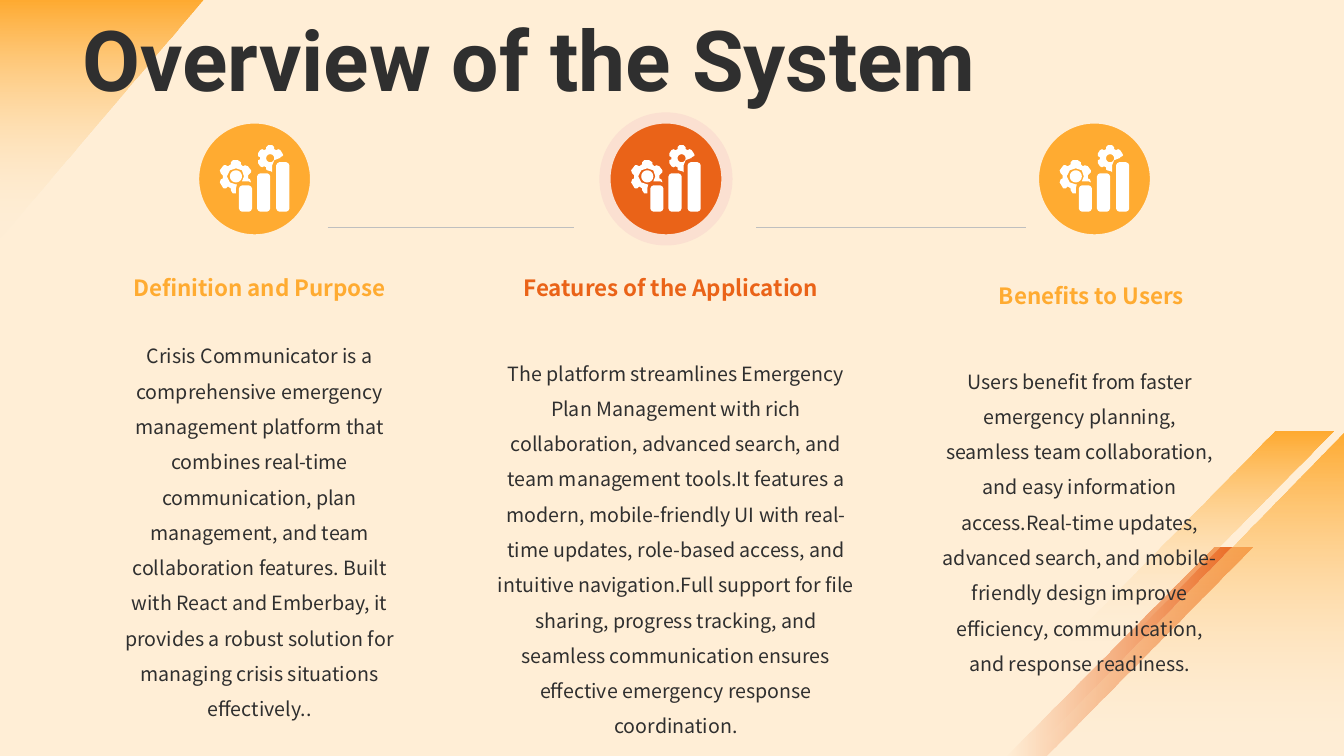
import math
from lxml import etree
from pptx import Presentation, util as u
from pptx.dml.color import RGBColor
from pptx.enum import shapes, text
from pptx.oxml.ns import qn

PX = 9144
COLORS = {
    "cream": "FFEED6", "amber": "FFAB31", "orange": "EA6318", "blush": "FBE0D1",
    "ink": "2F2F2F", "grey": "BFBFBF", "white": "FFFFFF",
}
COLORS = {name: RGBColor.from_string(value) for name, value in COLORS.items()}

presentation = Presentation()
presentation.slide_width = 1333 * PX
presentation.slide_height = 750 * PX
slide = presentation.slides.add_slide(presentation.slide_layouts[6])
slide.background.fill.solid()
slide.background.fill.fore_color.rgb = COLORS["cream"]


def add_outline(contours, left=0, top=0):
    contours = [[(round((left + x) * PX), round((top + y) * PX)) for x, y in contour]
                for contour in contours]
    builder = slide.shapes.build_freeform(*contours[0][0], scale=1.0)
    builder.add_line_segments(contours[0][1:], close=True)
    for contour in contours[1:]:
        builder.move_to(*contour[0])
        builder.add_line_segments(contour[1:], close=True)
    shape = builder.convert_to_shape()
    shape.shadow.inherit = False
    shape.line.fill.background()
    return shape


def add_text(box, words, size, color, font="Noto Sans CJK SC", bold=False,
             align=text.PP_ALIGN.CENTER, spacing=None):
    shape = slide.shapes.add_textbox(*[length * PX for length in box])
    frame = shape.text_frame
    frame.word_wrap = True
    paragraph = frame.paragraphs[0]
    paragraph.alignment = align
    paragraph.line_spacing = spacing
    run = paragraph.add_run()
    run.text = words
    run.font.size = u.Pt(size)
    run.font.name = font
    run.font.bold = bold
    run.font.color.rgb = COLORS[color]
    properties = run.font._element
    etree.SubElement(properties, qn("a:ea")).set("typeface", font)
    return frame


decorations = [
    ([(0, 0), (202, 0), (0, 237)], "amber", "cream", 270),
    ([(998, 750), (1038, 750), (1242, 543), (1203, 543)], "orange", "orange", 180),
    ([(1019, 750), (1333, 750), (1333, 428)], "amber", "cream", 270),
    ([(1060, 635), (1118, 635), (1323, 428), (1264, 428)], "amber", "cream", 270),
]
for outline, start, end, angle in decorations:
    shape = add_outline([outline])
    shape.fill.gradient()
    shape.fill.gradient_angle = angle
    for stop, color in zip(shape.fill.gradient_stops, (start, end)):
        stop.color.rgb = COLORS[color]
    faded = list(shape._element.spPr.iter(qn("a:srgbClr")))[-1]
    etree.SubElement(faded, qn("a:alpha")).set("val", "0")

for left, right in [(750, 1018), (325, 569)]:
    connector = slide.shapes.add_connector(
        shapes.MSO_CONNECTOR.STRAIGHT, left * PX, 225 * PX, right * PX, 225 * PX)
    connector.line.color.rgb = COLORS["grey"]
    connector.line.width = u.Pt(0.25)
    etree.SubElement(connector._element.spPr, qn("a:effectLst"))

large_gear = [
    (13, 15), (18, 15), (21, 17), (21, 19), (23, 21), (25, 20), (28, 21), (31, 25),
    (31, 27), (28, 30), (28, 33), (30, 34), (31, 37), (29, 36), (22, 36), (24, 31),
    (22, 25), (16, 23), (10, 25), (7, 31), (10, 37), (16, 39), (17, 39), (16, 43),
    (16, 48), (13, 48), (11, 45), (11, 43), (8, 41), (6, 43), (4, 43), (3, 42),
    (0, 37), (1, 34), (3, 33), (3, 30), (1, 28), (0, 25), (3, 21), (4, 20),
    (6, 20), (8, 21), (11, 19), (11, 17),
]
small_gear = [
    (48, 0), (52, 0), (54, 2), (54, 4), (56, 5), (58, 4), (60, 5), (62, 8),
    (63, 10), (62, 11), (60, 12), (60, 13), (59, 13), (54, 15), (52, 20), (52, 27),
    (51, 26), (47, 25), (46, 24), (46, 22), (44, 21), (42, 22), (40, 21), (38, 18),
    (38, 15), (40, 14), (40, 12), (38, 11), (38, 8), (40, 5), (42, 4), (44, 5),
    (46, 4), (46, 2),
]
icon = [large_gear, small_gear]
for center_x, center_y, radius in [(16, 31, 6), (50, 13, 4)]:
    angles = [math.tau * step / 24 for step in range(24)]
    icon.append([(center_x + radius * math.cos(angle), center_y + radius * math.sin(angle))
                 for angle in angles])
for left, top in [(19, 40), (37, 28), (56, 17)]:
    right, bottom = left + 13, 66
    icon.append([
        (left + 3, top), (right - 3, top), (right - 1, top + 1), (right, top + 3),
        (right, bottom - 3), (right - 1, bottom - 1), (right - 3, bottom),
        (left + 3, bottom), (left + 1, bottom - 1), (left, bottom - 3),
        (left, top + 3), (left + 1, top + 1),
    ])

columns = [
    (192, "amber", "cream", (100, 267, 315, 37), "Definition and Purpose", (100, 325, 315, 395),
     "Crisis Communicator is a comprehensive emergency management platform that combines "
     "real-time communication, plan management, and team collaboration features. Built with "
     "React and Emberbay, it provides a robust solution for managing crisis situations "
     "effectively.."),
    (600, "orange", "blush", (508, 267, 315, 64), "Features of the Application", (483, 342, 375, 395),
     "The platform streamlines Emergency Plan Management with rich collaboration, advanced "
     "search, and team management tools.It features a modern, mobile-friendly UI with "
     "real-time updates, role-based access, and intuitive navigation.Full support for file "
     "sharing, progress tracking, and seamless communication ensures effective emergency "
     "response coordination."),
    (1025, "amber", "cream", (925, 275, 315, 37), "Benefits to Users", (925, 350, 292, 360),
     "Users benefit from faster emergency planning, seamless team collaboration, and easy "
     "information access.Real-time updates, advanced search, and mobile-friendly design "
     "improve efficiency, communication, and response readiness."),
]
for left, color, ring, heading_box, heading, body_box, body in columns:
    badge = slide.shapes.add_shape(
        shapes.MSO_SHAPE.OVAL, left * PX, 117 * PX, 121 * PX, 121 * PX)
    badge.shadow.inherit = False
    badge.fill.solid()
    badge.fill.fore_color.rgb = COLORS[color]
    badge.line.color.rgb = COLORS[ring]
    badge.line.width = u.Pt(8)
    symbol = add_outline(icon, left + 26, 144)
    symbol.fill.solid()
    symbol.fill.fore_color.rgb = COLORS["white"]
    add_text(body_box, body, 14, "ink", spacing=1.5)
    add_text(heading_box, heading, 16, color, bold=True)

title = add_text((72, 0, 1188, 112), "Overview of the System", 60, "ink", "Roboto",
                 bold=True, align=text.PP_ALIGN.LEFT)
title.vertical_anchor = text.MSO_ANCHOR.BOTTOM

presentation.save("out.pptx")
